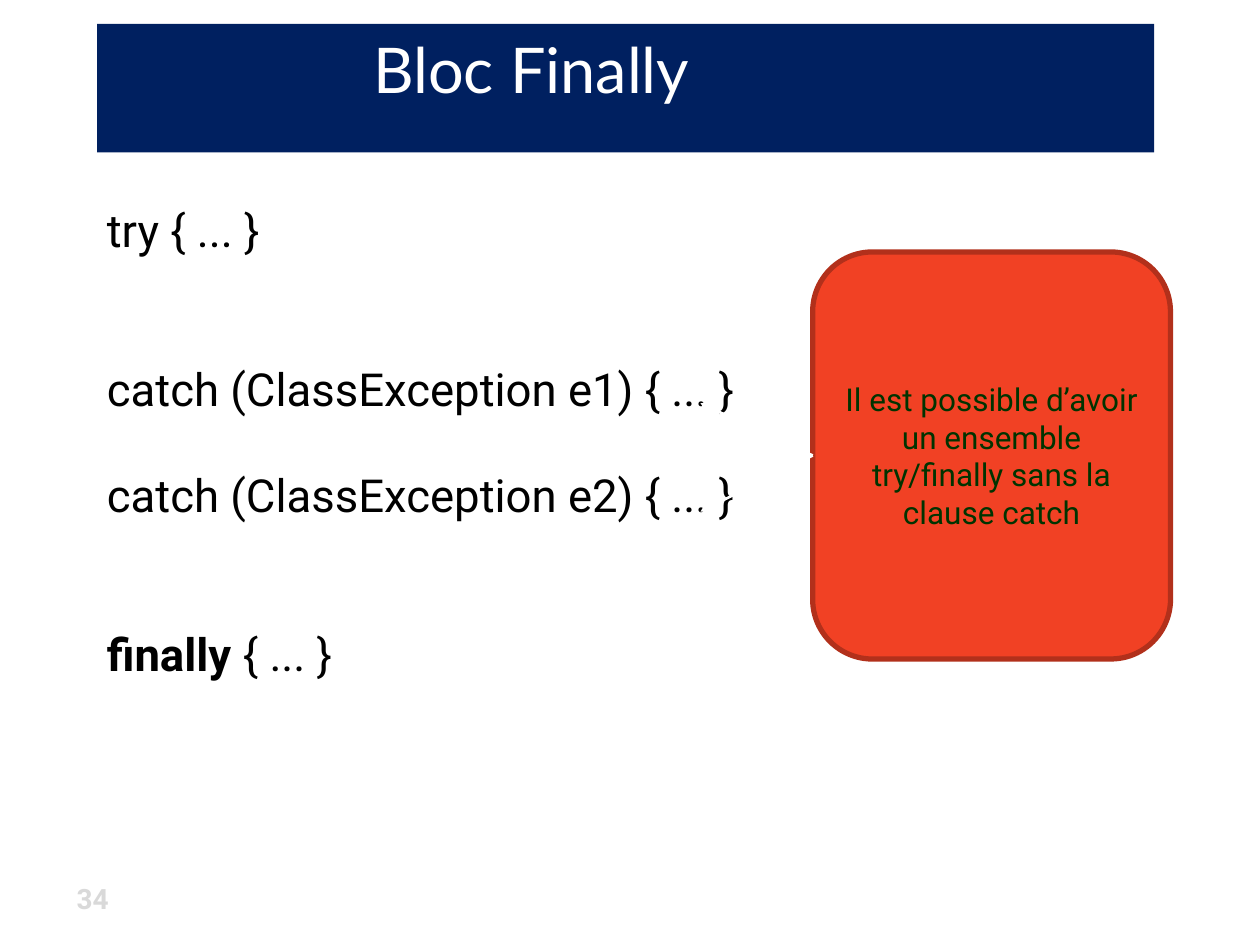
import pptx
import pptx.util
import pptx.dml.color
import pptx.enum.text
import pptx.enum.shapes
import pptx.oxml.ns
import lxml.etree

Pt = pptx.util.Pt
ALIGN = pptx.enum.text.PP_ALIGN
ANCHOR = pptx.enum.text.MSO_ANCHOR


def rgb(hex_color):
    """Return the colour for a hex string."""
    return pptx.dml.color.RGBColor.from_string(hex_color)


def place(shape, left, top, width, height):
    """Move and size a shape, in points."""
    shape.left, shape.top = Pt(left), Pt(top)
    shape.width, shape.height = Pt(width), Pt(height)


def write(paragraph, text, *, size, color, font="Roboto", bold=False, align=ALIGN.LEFT):
    """Add a formatted run to a paragraph."""
    paragraph.alignment = align
    run = paragraph.add_run()
    run.text = text
    run.font.name = font
    run.font.size = Pt(size)
    run.font.bold = bold
    run.font.color.rgb = rgb(color)


def add_title(slide, text):
    """Format the title placeholder as a dark banner."""
    banner = slide.shapes.title
    place(banner, 55.5, 13.7, 604, 73.4)
    banner.fill.solid()
    banner.fill.fore_color.rgb = rgb("002060")
    frame = banner.text_frame
    frame.word_wrap = True
    frame.auto_size = pptx.enum.text.MSO_AUTO_SIZE.NONE
    frame.vertical_anchor = ANCHOR.TOP
    frame.margin_right = Pt(115)
    write(frame.paragraphs[0], text, size=36, color="FFFFFF", font="Lato", align=ALIGN.CENTER)


def add_text_box(slide, left, top, width, height):
    """Add a wrapping text box and return its frame."""
    box = slide.shapes.add_textbox(Pt(left), Pt(top), Pt(width), Pt(height))
    box.text_frame.word_wrap = True
    return box.text_frame


def add_code(slide, clauses):
    """Write one paragraph per clause: space before, keyword, rest, bold keyword."""
    frame = add_text_box(slide, 54, 118, 607, 350)
    for index, (space, keyword, rest, bold) in enumerate(clauses):
        clause = frame.paragraphs[0] if index == 0 else frame.add_paragraph()
        clause.line_spacing = 0.8
        clause.space_before = Pt(space)
        write(clause, keyword, size=26, color="000000", bold=bold)
        write(clause, rest, size=26, color="000000")


def add_note(slide, text):
    """Add the rounded remark and return it."""
    note = slide.shapes.add_shape(pptx.enum.shapes.MSO_SHAPE.ROUNDED_RECTANGLE,
                                  Pt(464.4), Pt(144), Pt(204.5), Pt(232.6))
    note.shadow.inherit = False
    note.fill.solid()
    note.fill.fore_color.rgb = rgb("F14124")
    note.line.color.rgb = rgb("B2301B")
    note.line.width = Pt(3)
    frame = note.text_frame
    frame.word_wrap = True
    frame.vertical_anchor = ANCHOR.MIDDLE
    write(frame.paragraphs[0], text, size=18, color="003300", align=ALIGN.CENTER)
    return note


def add_arrow(slide, note, end_x, end_y):
    """Draw a white arrow from the left side of the note."""
    arrow = slide.shapes.add_connector(pptx.enum.shapes.MSO_CONNECTOR.STRAIGHT,
                                       Pt(464.4), Pt(260.3), Pt(end_x), Pt(end_y))
    arrow.begin_connect(note, 1)
    arrow.line.color.rgb = rgb("FFFFFF")
    arrow.line.width = Pt(1.5)
    qn = pptx.oxml.ns.qn
    lxml.etree.SubElement(arrow.line._get_or_add_ln(), qn("a:tailEnd"), type="arrow")
    lxml.etree.SubElement(arrow._element.spPr, qn("a:effectLst"))


def main():
    """Build the slide and save it."""
    deck = pptx.Presentation()
    deck.slide_width, deck.slide_height = Pt(720), Pt(540)
    slide = deck.slides.add_slide(deck.slide_layouts[5])
    add_title(slide, "Bloc Finally")
    add_code(slide, [
        (0, "try", " { ... }", False),
        (65.6, "catch", " (ClassException e1) { ... }", False),
        (36, "catch", " (ClassException e2) { ... }", False),
        (65.6, "finally", " { ... }", True),
    ])
    note = add_note(slide, "Il est possible d’avoir un ensemble try/finally sans la clause catch")
    for end_y in (230.4, 292.3):
        add_arrow(slide, note, 400.3, end_y)
    page_number = add_text_box(slide, 36.7, 500.4, 266.4, 28.8)
    write(page_number.paragraphs[0], "34", size=16, color="D9D9D9", bold=True)
    deck.save("out.pptx")


if __name__ == "__main__":
    main()
